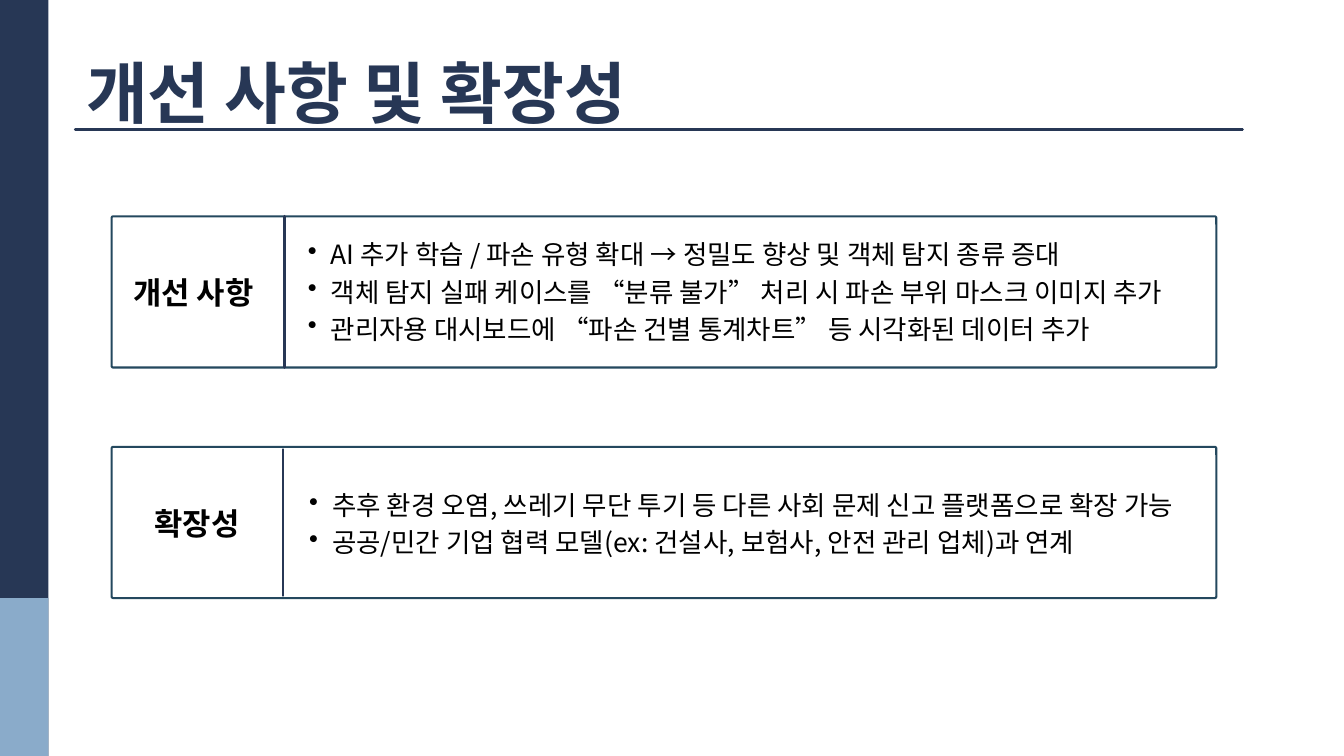
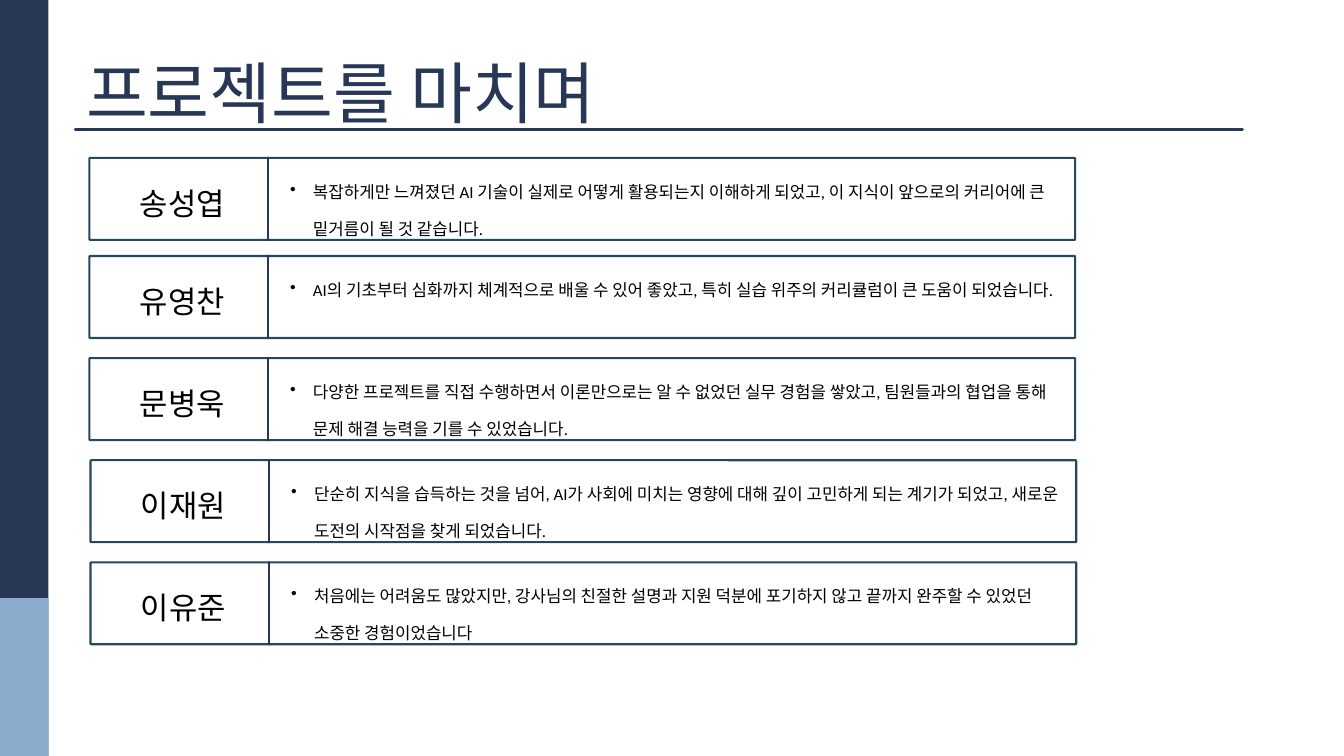
"""Builds the improvement and closing-remarks slides of the project deck."""
import pptx
import pptx.dml.color
import pptx.enum.shapes
import pptx.enum.text
import pptx.oxml.xmlchemy
import pptx.util

Pt = pptx.util.Pt
new_element = pptx.oxml.xmlchemy.OxmlElement
COLORS = {"navy": "273755", "sky": "8AABCA", "frame": "24485E", "ink": "000000"}
SANS = "Noto Sans CJK KR"
LATIN = "Calibri"
SLIDE_W, SLIDE_H = 1440, 810
SKY_TOP = 640.8

TOPICS = [
    dict(label="개선 사항", top=231.8, label_x=7.5, divider_x=185, divider_gap=0,
         body=(186.5, 18, 973, 120),
         lines=["AI 추가 학습 / 파손 유형 확대 → 정밀도 향상 및 객체 탐지 종류 증대",
                "객체 탐지 실패 케이스를 “분류 불가” 처리 시 파손 부위 마스크 이미지 추가",
                "관리자용 대시보드에 “파손 건별 통계차트” 등 시각화된 데이터 추가"]),
    dict(label="확장성", top=478.8, label_x=11.5, divider_x=183.6, divider_gap=2.8,
         body=(188, 39.6, 1051, 80),
         lines=["추후 환경 오염, 쓰레기 무단 투기 등 다른 사회 문제 신고 플랫폼으로 확장 가능",
                "공공/민간 기업 협력 모델(ex: 건설사, 보험사, 안전 관리 업체)과 연계"]),
]
REMARKS = [
    ("송성엽", "복잡하게만 느껴졌던 AI 기술이 실제로 어떻게 활용되는지 이해하게 되었고, "
              "이 지식이 앞으로의 커리어에 큰 밑거름이 될 것 같습니다."),
    ("유영찬", "AI의 기초부터 심화까지 체계적으로 배울 수 있어 좋았고, "
              "특히 실습 위주의 커리큘럼이 큰 도움이 되었습니다."),
    ("문병욱", "다양한 프로젝트를 직접 수행하면서 이론만으로는 알 수 없었던 실무 경험을 쌓았고, "
              "팀원들과의 협업을 통해 문제 해결 능력을 기를 수 있었습니다."),
    ("이재원", "단순히 지식을 습득하는 것을 넘어, AI가 사회에 미치는 영향에 대해 깊이 고민하게 되는 "
              "계기가 되었고, 새로운 도전의 시작점을 찾게 되었습니다."),
    ("이유준", "처음에는 어려움도 많았지만, 강사님의 친절한 설명과 지원 덕분에 포기하지 않고 "
              "끝까지 완주할 수 있었던 소중한 경험이었습니다"),
]


def rgb(name):
    """Return the named colour."""
    return pptx.dml.color.RGBColor.from_string(COLORS[name])


def add_band(slide, top, height, color):
    """Fill a stretch of the left side band."""
    band = slide.shapes.add_shape(pptx.enum.shapes.MSO_SHAPE.RECTANGLE,
                                  0, Pt(top), Pt(51.8), Pt(height))
    band.shadow.inherit = False
    band.fill.solid()
    band.fill.fore_color.rgb = rgb(color)
    band.line.fill.background()


def add_rule(slide, x1, y1, x2, y2):
    """Draw a navy line without a shadow."""
    rule = slide.shapes.add_connector(pptx.enum.shapes.MSO_CONNECTOR.STRAIGHT,
                                      Pt(x1), Pt(y1), Pt(x2), Pt(y2))
    rule.line.color.rgb = rgb("navy")
    rule.line.width = Pt(3)
    rule.get_or_add_ln().set("cap", "rnd")
    rule._element.spPr.append(new_element("a:effectLst"))


def add_text(slide, box, lines, size, spacing, color="ink", bold=False,
             font=SANS, centered=False, bulleted=False):
    """Write lines into a box without margins, one paragraph each."""
    frame = slide.shapes.add_textbox(*map(Pt, box)).text_frame
    frame.word_wrap = True
    frame.margin_left = frame.margin_right = frame.margin_top = frame.margin_bottom = 0
    for index, line in enumerate(lines):
        paragraph = frame.paragraphs[0] if index == 0 else frame.add_paragraph()
        paragraph.line_spacing = Pt(spacing)
        if centered:
            paragraph.alignment = pptx.enum.text.PP_ALIGN.CENTER
        if bulleted:
            paragraph.level = 1
            properties = paragraph._p.get_or_add_pPr()
            properties.set("marL", str(Pt(48.2)))
            properties.set("indent", str(Pt(-24.5)))
            bullet = new_element("a:buChar")
            bullet.set("char", "•")
            properties.append(bullet)
        run = paragraph.add_run()
        run.text = line
        run.font.size = Pt(size)
        run.font.bold = bold
        run.font.name = font
        run.font.color.rgb = rgb(color)
        east_asian = new_element("a:ea")
        east_asian.set("typeface", font)
        run._r.get_or_add_rPr().append(east_asian)


def add_base(deck, title, bold):
    """Add a slide with the side band, the title and its underline."""
    slide = deck.slides.add_slide(deck.slide_layouts[6])
    add_band(slide, 0, SLIDE_H, "navy")
    add_band(slide, SKY_TOP, SLIDE_H - SKY_TOP, "sky")
    add_text(slide, (92.2, 41, 694, 102), [title], 72, 100.8, "navy", bold)
    add_rule(slide, 80.6, 139, 1331.3, 139)
    return slide


def add_card(slide, box, label, label_at, lines, body, size, divider_x,
             divider_gap=0, bold=False, font=SANS):
    """Frame a label and its bullets, split by a vertical divider."""
    left, top, width, height = box
    outline = slide.shapes.add_shape(pptx.enum.shapes.MSO_SHAPE.ROUNDED_RECTANGLE,
                                     *map(Pt, box))
    outline.adjustments[0] = 0.01
    outline.shadow.inherit = False
    outline.fill.background()
    outline.line.color.rgb = rgb("frame")
    outline.line.width = Pt(2.25)
    add_text(slide, (left + label_at[0], top + label_at[1], 160, 45), [label],
             33, 46.2, bold=bold, centered=True)
    body_x, body_y, body_w, body_h = body
    add_text(slide, (left + body_x, top + body_y, body_w, body_h), lines,
             size, 39.8, font=font, bulleted=True)
    add_rule(slide, left + divider_x, top + height - divider_gap,
             left + divider_x, top + divider_gap)


def build_improvements(deck):
    """Build the slide of improvements and room for growth."""
    slide = add_base(deck, "개선 사항 및 확장성", True)
    for topic in TOPICS:
        add_card(slide, (119.6, topic["top"], 1183.6, 162), topic["label"],
                 (topic["label_x"], 55.4), topic["lines"], topic["body"], 28.4,
                 topic["divider_x"], topic["divider_gap"], bold=True)


def build_remarks(deck):
    """Build the slide of closing remarks, one card per member."""
    slide = add_base(deck, "프로젝트를 마치며", False)
    for index, (member, remark) in enumerate(REMARKS):
        left = 95.8 if index < 3 else 97
        top = 274.3 + 109.4 * (index - 1) if index else 169.2
        add_card(slide, (left, top, 1056.2, 87.8), member, (19.5, 21.6), [remark],
                 (191.3, 7, 846, 80), 18, 191.3, font=LATIN)


def main():
    """Build and save the deck."""
    deck = pptx.Presentation()
    deck.slide_width, deck.slide_height = Pt(SLIDE_W), Pt(SLIDE_H)
    build_improvements(deck)
    build_remarks(deck)
    deck.save("out.pptx")


if __name__ == "__main__":
    main()
